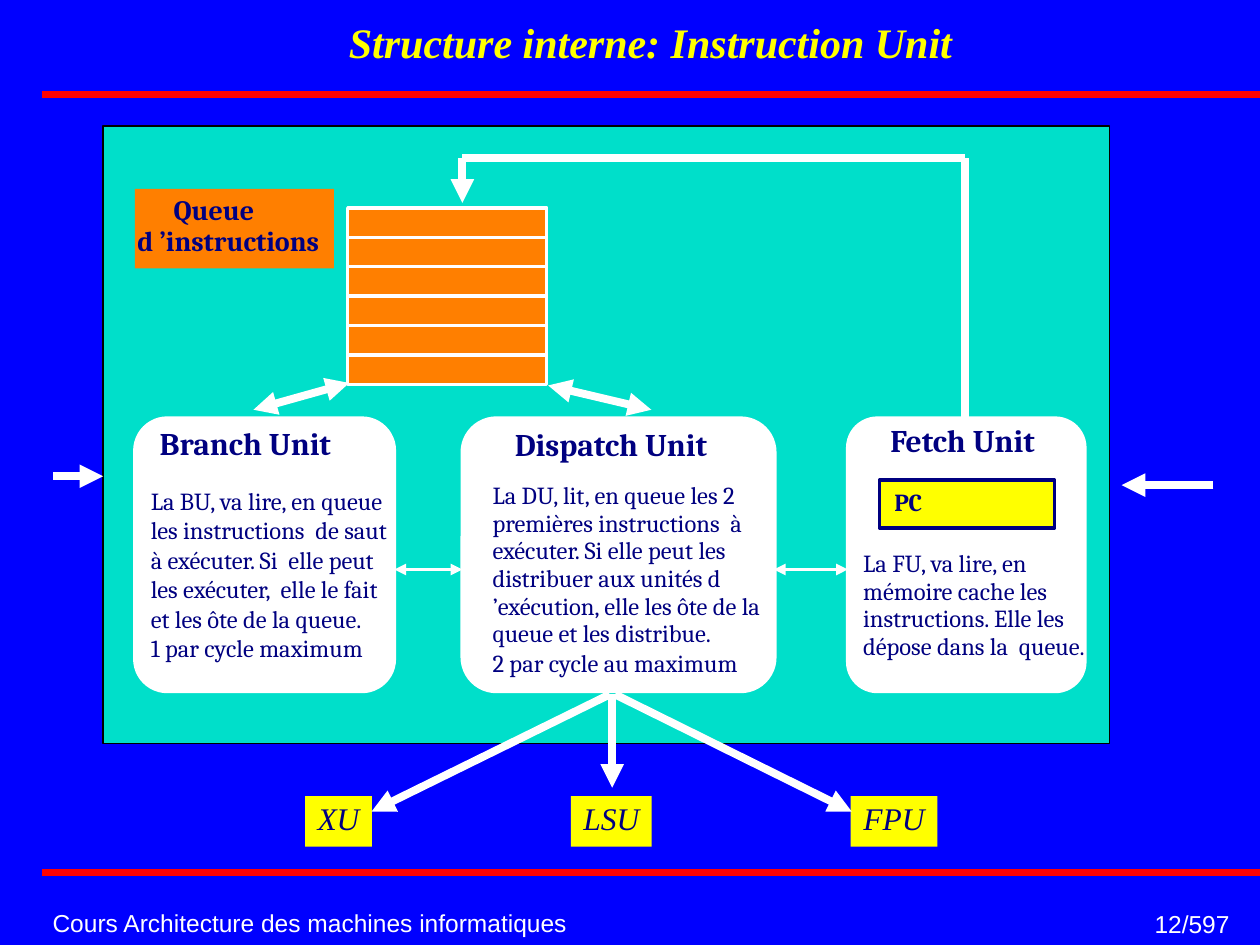
from lxml import etree
from pptx import Presentation, util as u
from pptx.dml.color import RGBColor
from pptx.enum import shapes, text
from pptx.oxml import ns

COLORS = {
    "blue": "0000FF", "red": "FF0100", "yellow": "FFFF00", "white": "FFFFFF",
    "navy": "000080", "teal": "00DFCA", "orange": "FF7F00", "black": "000000",
}


def color(name):
    return RGBColor.from_string(COLORS[name])


def write_text(frame, content, size=14, font="Cambria", ink="navy", bold=False, italic=False,
               align="LEFT", anchor="TOP", wrap=True, spacings=(0.94, 0.94), first_indent=0):
    frame.word_wrap = wrap
    frame.auto_size = text.MSO_AUTO_SIZE.NONE
    frame.vertical_anchor = text.MSO_ANCHOR[anchor]
    frame.text = content
    for paragraph, spacing in zip(frame.paragraphs, spacings):
        paragraph.alignment = text.PP_ALIGN[align]
        paragraph.line_spacing = spacing
        paragraph.font.size = u.Pt(size)
        paragraph.font.name = font
        paragraph.font.bold = bold
        paragraph.font.italic = italic
        paragraph.font.color.rgb = color(ink)
    if first_indent:
        properties = frame.paragraphs[0]._p.get_or_add_pPr()
        properties.set("indent", str(u.Cm(first_indent)))


class Diagram:
    """Draws the styled elements of a block diagram on one slide, in centimetres."""

    def __init__(self, slide, background="blue", stroke="white"):
        self.slide = slide
        self.stroke = stroke
        slide.background.fill.solid()
        slide.background.fill.fore_color.rgb = color(background)

    def title(self, content, *box):
        shape = self.slide.shapes.title
        shape.left, shape.top, shape.width, shape.height = map(u.Cm, box)
        write_text(shape.text_frame, content, size=24, font="Times New Roman", ink="yellow",
                   bold=True, italic=True, align="CENTER", anchor="BOTTOM")

    def label(self, content, *box, **style):
        shape = self.slide.shapes.add_textbox(*map(u.Cm, box))
        write_text(shape.text_frame, content, **style)

    def box(self, *box, fill, outline=None, width=2, radius=None):
        kind = shapes.MSO_SHAPE.ROUNDED_RECTANGLE if radius else shapes.MSO_SHAPE.RECTANGLE
        shape = self.slide.shapes.add_shape(kind, *map(u.Cm, box))
        shape.shadow.inherit = False
        shape.fill.solid()
        shape.fill.fore_color.rgb = color(fill)
        if radius:
            shape.adjustments[0] = radius
        if outline:
            shape.line.color.rgb = color(outline)
            shape.line.width = u.Pt(width)
        else:
            shape.line.fill.background()
        return shape

    def line(self, *ends, width=4.5, ink=None, heads=()):
        connector = self.slide.shapes.add_connector(
            shapes.MSO_CONNECTOR.STRAIGHT, *map(u.Cm, ends))
        connector.line.color.rgb = color(ink or self.stroke)
        connector.line.width = u.Pt(width)
        for head in heads:
            end = etree.SubElement(connector.line._get_or_add_ln(), ns.qn(f"a:{head}"))
            end.set("type", "triangle")
        etree.SubElement(connector._element.spPr, ns.qn("a:effectLst"))

    def arrow(self, *ends, **style):
        self.line(*ends, heads=("tailEnd",), **style)

    def double_arrow(self, *ends, **style):
        self.line(*ends, heads=("headEnd", "tailEnd"), **style)

    def unit(self, left, width, name, name_left, name_top):
        self.box(left, 8.43, width, 5.51, fill="white", outline="white", radius=0.125)
        self.label(name, name_left, name_top, 4.9, 0.97, size=18, bold=True)

    def queue(self, left, top, width, height, rows):
        self.box(left, top, width, height, fill="orange", outline="white")
        for row in range(1, rows):
            y = top + row * height / rows
            self.line(left, y, left + width, y, width=2)


def draw_frame(diagram):
    for y in (1.91, 17.58):
        diagram.line(0.84, y, 25.4, y, width=4, ink="red")
    footer = dict(font="Arial", ink="white", spacings=(0.93,))
    diagram.label("Cours Architecture des machines informatiques", 0.81, 18.24, 11.5, 0.79,
                  anchor="MIDDLE", **footer)
    diagram.label("12/597", 20.04, 18.26, 5, 0.81, align="RIGHT", **footer)
    diagram.title("Structure interne: Instruction Unit", 2.41, 0.28, 21.41, 1.22)
    diagram.box(2.08, 2.54, 20.29, 12.45, fill="teal", outline="black", width=1)


def draw_units(diagram):
    diagram.unit(17.09, 4.78, "Fetch Unit", 17.7, 8.43)
    diagram.label("La FU, va lire, en mémoire cache les instructions. Elle les dépose dans "
                  "la  queue.", 17.15, 10.97, 5.03, 3.02)
    counter = diagram.box(17.73, 9.68, 3.53, 0.97, fill="yellow", outline="navy")
    counter.text_frame.margin_left = u.Cm(0.3)
    counter.text_frame.margin_top = u.Cm(0.18)
    write_text(counter.text_frame, "PC", bold=True)

    diagram.unit(9.32, 6.3, "Dispatch Unit", 10.13, 8.51)
    diagram.label("La DU, lit, en queue les 2 premières instructions  à exécuter. Si elle peut "
                  "les distribuer aux unités d ’exécution, elle les ôte de la queue et les "
                  "distribue.\n2 par cycle au maximum", 9.68, 9.6, 5.92, 4.3, spacings=(0.94, 1.0))

    diagram.unit(2.72, 5.23, "Branch Unit", 2.97, 8.48)
    diagram.label("La BU, va lire, en queue les instructions  de saut à exécuter. Si  elle peut "
                  "les exécuter,  elle le fait et les ôte de la queue.\n1 par cycle maximum",
                  2.79, 9.67, 5.44, 4.2, spacings=(1.0, 1.0))


def draw_queue(diagram):
    diagram.queue(7.01, 4.19, 4.01, 3.56, rows=6)
    name = diagram.box(2.72, 3.81, 4.01, 1.6, fill="orange")
    name.text_frame.margin_left = u.Cm(0.05)
    write_text(name.text_frame, "Queue\nd ’instructions", size=16, bold=True, first_indent=0.73)


def draw_links(diagram):
    for left, right in ((7.95, 9.32), (15.6, 17.09)):
        diagram.double_arrow(left, 11.48, right, 11.48, width=2.25)
    diagram.double_arrow(5.11, 8.26, 7.04, 7.72)
    diagram.double_arrow(11.05, 7.77, 13.13, 8.26)
    diagram.line(19.46, 8.43, 19.46, 3.18)
    diagram.line(9.32, 3.18, 19.46, 3.18)
    diagram.arrow(9.32, 3.18, 9.32, 4.09)
    diagram.arrow(24.46, 9.78, 22.61, 9.78)
    diagram.arrow(1.07, 9.6, 2.08, 9.6)


def draw_outputs(diagram):
    outputs = (
        ("XU", 6.15, 1.35, (12.29, 14, 7.49, 16.36)),
        ("LSU", 11.51, 1.63, (12.34, 14, 12.34, 15.88)),
        ("FPU", 17.15, 1.75, (12.4, 14, 17.17, 16.36)),
    )
    for name, left, width, ends in outputs:
        shape = diagram.box(left, 16.05, width, 1.02, fill="yellow")
        write_text(shape.text_frame, name, size=18, font="Times New Roman", italic=True,
                   align="CENTER", wrap=False)
        diagram.arrow(*ends)


def main():
    presentation = Presentation()
    presentation.slide_width, presentation.slide_height = u.Cm(25.4), u.Cm(19.05)
    slide = presentation.slides.add_slide(presentation.slide_layouts[5])
    diagram = Diagram(slide)
    for draw in (draw_frame, draw_units, draw_queue, draw_links, draw_outputs):
        draw(diagram)
    presentation.save("out.pptx")


if __name__ == "__main__":
    main()
